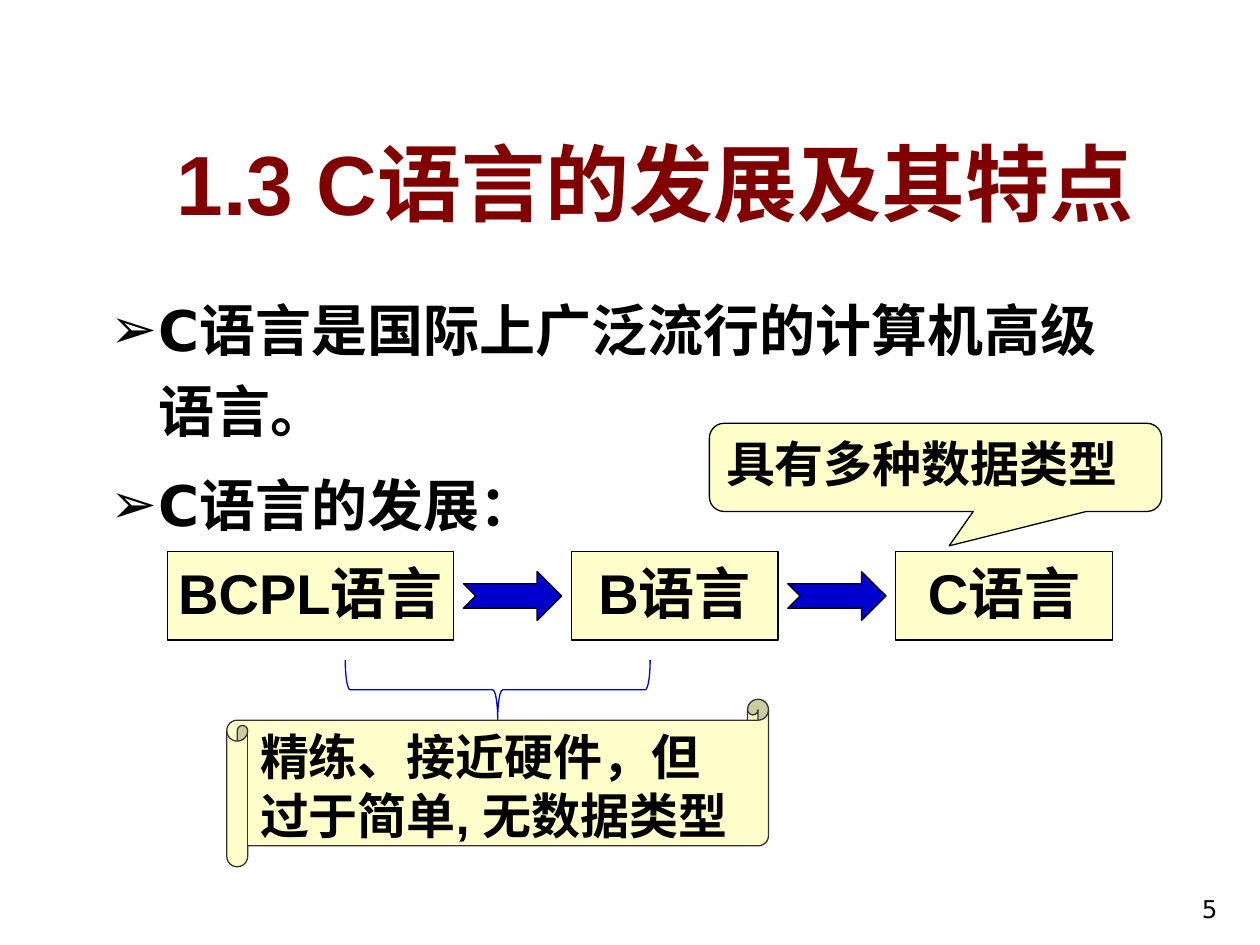
import pptx
import pptx.util
import pptx.dml.color
import pptx.enum.shapes
import pptx.enum.text
import pptx.oxml
import pptx.oxml.ns
from dataclasses import dataclass

SHAPE = pptx.enum.shapes.MSO_SHAPE
ALIGN = pptx.enum.text.PP_ALIGN
ANCHOR = pptx.enum.text.MSO_ANCHOR
NAMESPACE = pptx.oxml.ns.nsdecls("a")
CELL = 0.25  # inches; the page is a grid of 40 columns by 30 rows


class Theme:
    black, outline = "000000", "333333"
    heading, cream, blue, white = "800000", "FFFFCC", "0000CC", "FFFFFF"
    sans, plain = "Arial", "DejaVu Sans"
    title_size, body_size, note_size, number_size = 48, 32, 28, 14
    line_width = 0.75


@dataclass
class Box:
    """A region in grid columns and rows."""
    left: float
    top: float
    width: float
    height: float

    def inner(self, left, top, width, height):
        return Box(self.left + left, self.top + top, width, height)

    def lengths(self):
        return [pptx.util.Inches(cells * CELL)
                for cells in (self.left, self.top, self.width, self.height)]


def color(value):
    return pptx.dml.color.RGBColor.from_string(value)


def add_span(para, text, size, font=Theme.sans, ink=Theme.black, bold=True):
    span = para.add_run()
    span.text = text
    span.font.name, span.font.size = font, pptx.util.Pt(size)
    span.font.bold, span.font.color.rgb = bold, color(ink)
    return span


def add_text(page, box, anchor=ANCHOR.TOP):
    frame = page.shapes.add_textbox(*box.lengths()).text_frame
    frame.word_wrap, frame.vertical_anchor = True, anchor
    return frame


def add_figure(page, box, kind, fill=Theme.cream, line=Theme.black):
    figure = page.shapes.add_shape(kind, *box.lengths())
    figure.shadow.inherit = False
    figure.fill.solid()
    figure.fill.fore_color.rgb = color(fill)
    figure.line.color.rgb = color(line)
    figure.line.width = pptx.util.Pt(Theme.line_width)
    return figure


def write_lines(figure, lines, size, align=ALIGN.LEFT):
    frame = figure.text_frame
    frame.word_wrap, frame.vertical_anchor = False, ANCHOR.TOP
    for index, line in enumerate(lines):
        para = frame.add_paragraph() if index else frame.paragraphs[0]
        para.alignment = align
        add_span(para, line, size)


def add_title(page, box, text):
    para = add_text(page, box, ANCHOR.BOTTOM).paragraphs[0]
    para.alignment = ALIGN.CENTER
    span = add_span(para, text, Theme.title_size, ink=Theme.heading)
    # Soft text shadow, placed straight after the fill
    shadow = pptx.oxml.parse_xml(
        f'<a:effectLst {NAMESPACE}><a:outerShdw dist="38100" dir="2700000">'
        '<a:srgbClr val="C0C0C0"/></a:outerShdw></a:effectLst>')
    fill = span.font._element.find(pptx.oxml.ns.qn("a:solidFill"))
    fill.addnext(shadow)


def add_bullets(page, box, items):
    frame = add_text(page, box)
    for index, item in enumerate(items):
        para = frame.add_paragraph() if index else frame.paragraphs[0]
        settings = para._p.get_or_add_pPr()
        indent = pptx.util.Inches(0.38)
        settings.set("marL", str(indent))
        settings.set("indent", str(-indent))
        for bullet in (f'<a:buFont {NAMESPACE} typeface="Arial"/>',
                       f'<a:buChar {NAMESPACE} char="➢"/>'):
            settings.append(pptx.oxml.parse_xml(bullet))
        para.line_spacing = 1.2
        if index:
            para.space_before = pptx.util.Pt(8)
        add_span(para, item, Theme.body_size, Theme.plain)


def add_language_flow(page, box, stages):
    arrow_width, arrow_height = 3.12, 1.56
    gap = (box.width - sum(width for _, width in stages)) / (len(stages) - 1)
    left = 0
    for index, (name, width) in enumerate(stages):
        if index:  # arrow centred in the gap before this stage
            arrow = box.inner(left - (gap + arrow_width) / 2,
                              (box.height - arrow_height) / 2,
                              arrow_width, arrow_height)
            add_figure(page, arrow, SHAPE.NOTCHED_RIGHT_ARROW, Theme.blue)
        stage = add_figure(page, box.inner(left, 0, width, box.height),
                           SHAPE.FLOWCHART_PROCESS)
        write_lines(stage, [name], Theme.body_size, ALIGN.CENTER)
        left += width + gap


def add_early_note(page, box, lines):
    # Brace turned a quarter, so its width and height swap about its centre
    span, depth = 9.68, 1.88
    brace = add_figure(page, box.inner((box.width - depth) / 2, (depth - span) / 2,
                                       depth, span),
                       SHAPE.RIGHT_BRACE, Theme.white, Theme.blue)
    brace.rotation = 90
    # Scroll under the brace
    scroll_top = 1.24
    scroll = add_figure(page, box.inner(0, scroll_top, box.width,
                                        box.height - scroll_top),
                        SHAPE.HORIZONTAL_SCROLL, line=Theme.outline)
    write_lines(scroll, lines, Theme.note_size)


def add_callout(page, box, text):
    callout = add_figure(page, box, SHAPE.ROUNDED_RECTANGULAR_CALLOUT)
    callout.adjustments[0], callout.adjustments[1] = 0.03, 0.89
    write_lines(callout, [text], Theme.note_size)


def add_page_number(page, box, number):
    para = add_text(page, box, ANCHOR.BOTTOM).paragraphs[0]
    para.alignment = ALIGN.RIGHT
    add_span(para, number, Theme.number_size, Theme.plain, bold=False)


def main():
    deck = pptx.Presentation()
    deck.slide_width = pptx.util.Inches(40 * CELL)
    deck.slide_height = pptx.util.Inches(30 * CELL)
    page = deck.slides.add_slide(deck.slide_layouts[6])

    add_title(page, Box(4.08, 3.44, 33.44, 4.12), "1.3 C语言的发展及其特点")
    add_bullets(page, Box(3.12, 8.76, 33.4, 9.36),
                ["C语言是国际上广泛流行的计算机高级语言。", "C语言的发展："])
    add_language_flow(page, Box(5.32, 17.52, 30, 2.8),
                      [("BCPL语言", 9.08), ("B语言", 6.56), ("C语言", 6.88)])
    add_early_note(page, Box(7.2, 20.96, 17.2, 6.56),
                   ["精练、接近硬件，但", "过于简单, 无数据类型"])
    add_callout(page, Box(22.52, 13.44, 14.36, 2.8), "具有多种数据类型")
    add_page_number(page, Box(30.72, 27.52, 8.32, 2), "5")

    deck.save("out.pptx")


if __name__ == "__main__":
    main()
